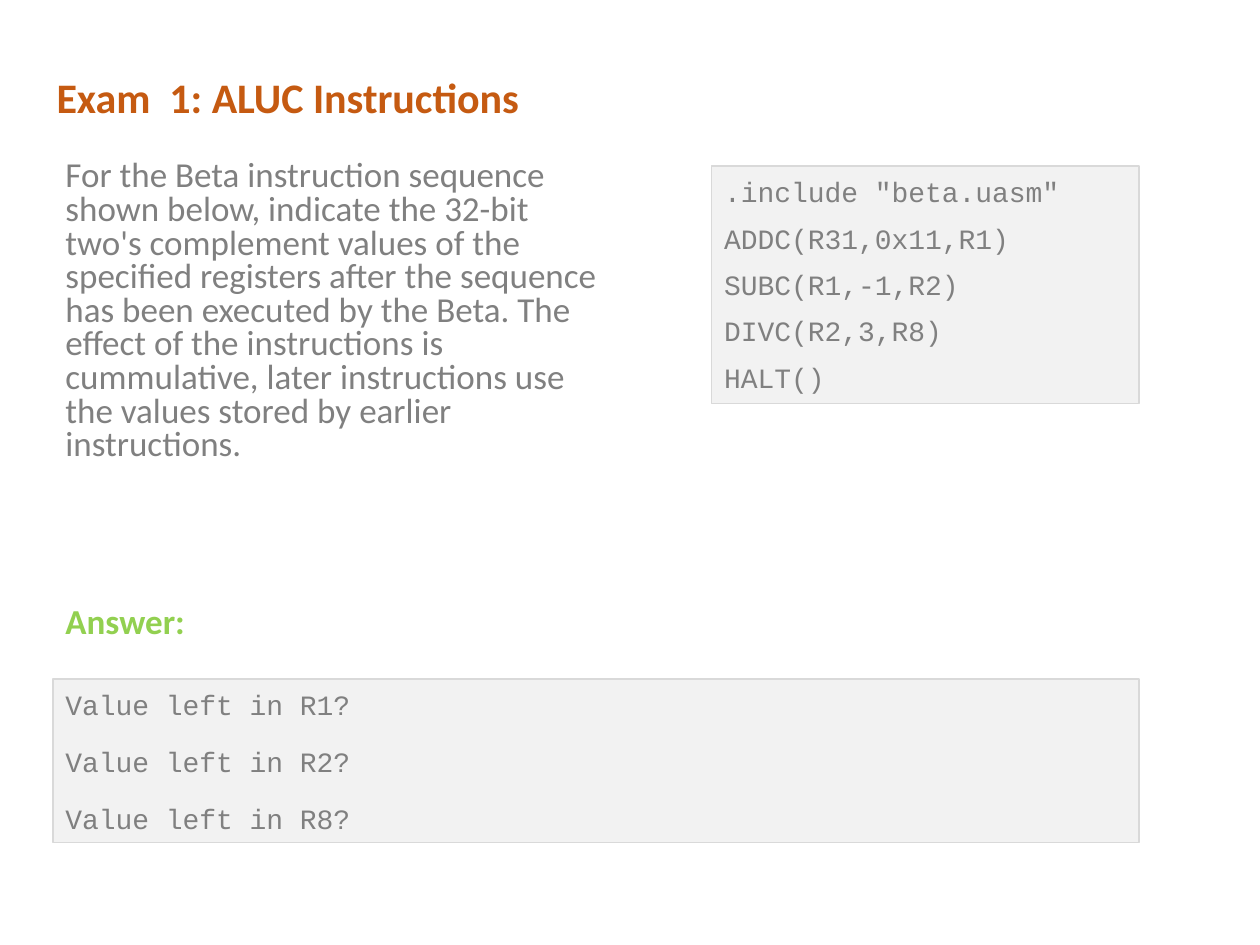
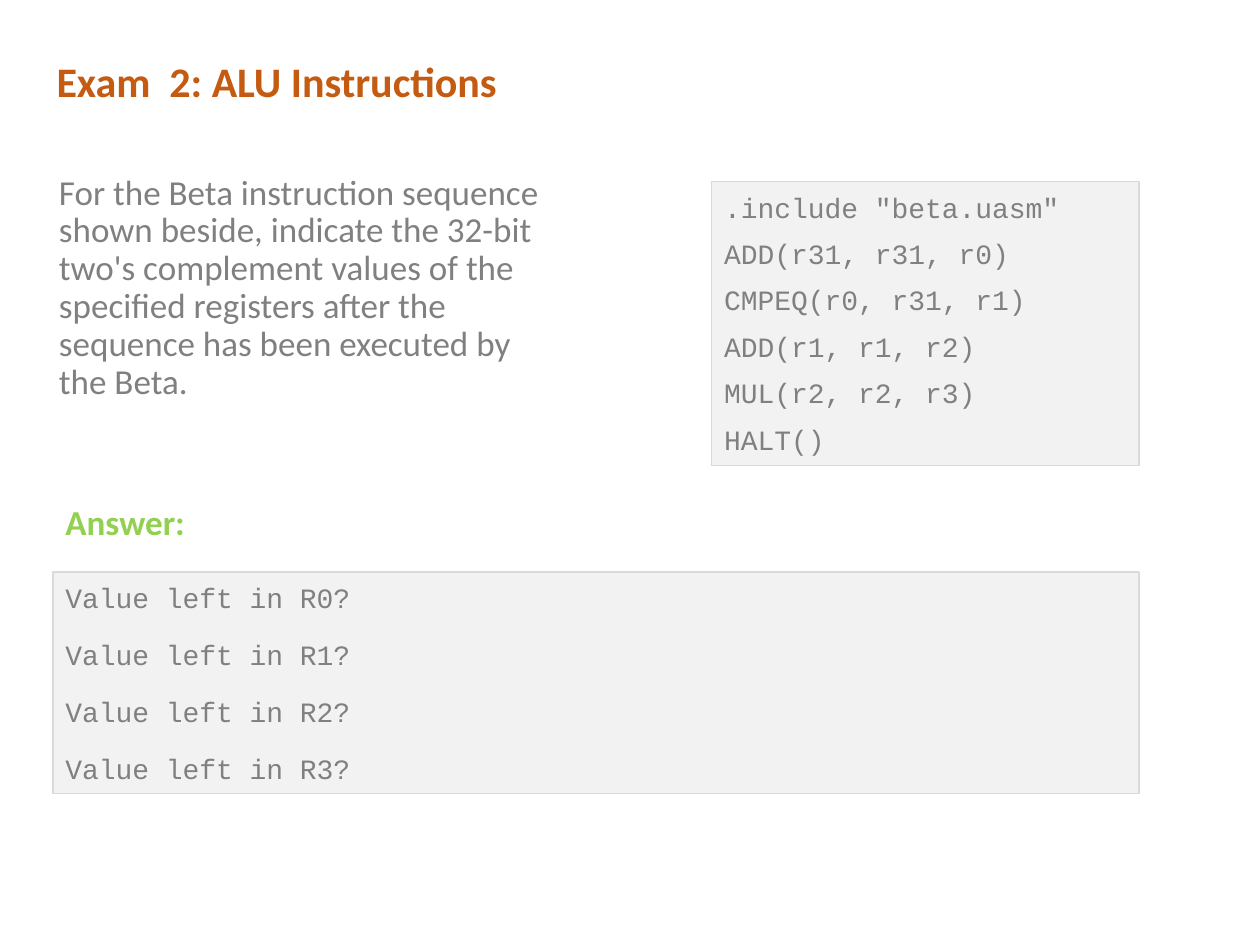
"""Build two exam slides about Beta assembly instructions."""
from dataclasses import dataclass

from pptx import Presentation
from pptx.dml.color import RGBColor
from pptx.enum.shapes import MSO_SHAPE
from pptx.enum.text import MSO_ANCHOR, MSO_AUTO_SIZE, PP_ALIGN
from pptx.util import Cm, Pt

RECTANGLE = MSO_SHAPE.RECTANGLE
TOP, MIDDLE = MSO_ANCHOR.TOP, MSO_ANCHOR.MIDDLE
GROW, FIXED = MSO_AUTO_SIZE.SHAPE_TO_FIT_TEXT, MSO_AUTO_SIZE.NONE
LEFT = PP_ALIGN.LEFT

EXAMS = [
    {
        "title": "Exam  1: ALUC Instructions",
        "question": "For the Beta instruction sequence shown below, indicate the 32-bit "
                    "two's complement values of the specified registers after the sequence "
                    "has been executed by the Beta. The effect of the instructions is "
                    "cummulative, later instructions use the values stored by earlier "
                    "instructions.",
        "code": ['.include "beta.uasm"', "ADDC(R31,0x11,R1)", "SUBC(R1,-1,R2)",
                 "DIVC(R2,3,R8)", "HALT()"],
        "registers": ["R1", "R2", "R8"],
        "question_box": (1.07, 3.12, 11.43, 6.91),
        "question_spacing": 0.8,
        "tops": {"title": 1.37, "code": 3.35, "label": 11.96, "answers": 13.69},
    },
    {
        "title": "Exam  2: ALU Instructions",
        "question": "For the Beta instruction sequence shown beside, indicate the 32-bit "
                    "two's complement values of the specified registers after the sequence "
                    "has been executed by the Beta.",
        "code": ['.include "beta.uasm"', "ADD(r31, r31, r0)", "CMPEQ(r0, r31, r1)",
                 "ADD(r1, r1, r2)", "MUL(r2, r2, r3)", "HALT()"],
        "registers": ["R0", "R1", "R2", "R3"],
        "question_box": (0.94, 3.4, 10.57, 5.64),
        "question_spacing": 0.9,
        "tops": {"title": 1.04, "code": 3.66, "label": 9.96, "answers": 11.53},
    },
]


@dataclass(frozen=True)
class Theme:
    """Hold the colours, fonts and type sizes of the deck."""
    title: RGBColor = RGBColor(0xC5, 0x5A, 0x11)
    text: RGBColor = RGBColor(0x80, 0x80, 0x80)
    answer: RGBColor = RGBColor(0x92, 0xD0, 0x50)
    panel: RGBColor = RGBColor(0xF2, 0xF2, 0xF2)
    border: RGBColor = RGBColor(0xD9, 0xD9, 0xD9)
    body_font: str = "Calibri"
    code_font: str = "Courier New"
    title_size: Pt = Pt(24)
    body_size: Pt = Pt(20)
    code_size: Pt = Pt(16)
    border_width: Pt = Pt(0.75)


THEME = Theme()
MARGIN = 1.07
RIGHT_EDGE = 22.96
CODE_LEFT = 14.35
CODE_ROW, CODE_PADDING = 0.94, 0.08
ANSWER_ROW, ANSWER_PADDING = 1.17, -0.21

FONTS = {
    "title": {"name": THEME.body_font, "size": THEME.title_size, "bold": True},
    "question": {"name": THEME.body_font, "size": THEME.body_size, "bold": False},
    "label": {"name": THEME.body_font, "size": THEME.body_size, "bold": True},
    "code": {"name": THEME.code_font, "size": THEME.code_size, "bold": False},
}
COLORS = {"title": THEME.title, "question": THEME.text,
          "label": THEME.answer, "code": THEME.text}


def set_attributes(target, values):
    """Set every named value on the target."""
    for name, value in values.items():
        setattr(target, name, value)


def write(shape, lines, style, paragraph_format, frame_format):
    """Fill a shape with one paragraph per line."""
    frame = shape.text_frame
    set_attributes(frame, {"word_wrap": True, "auto_size": FIXED,
                           "vertical_anchor": TOP, **frame_format})
    for index, line in enumerate(lines):
        paragraph = frame.add_paragraph() if index else frame.paragraphs[0]
        set_attributes(paragraph, {"alignment": LEFT, **paragraph_format})
        run = paragraph.add_run()
        run.text = line
        set_attributes(run.font, FONTS[style])
        run.font.color.rgb = COLORS[style]


def add_text(slide, box, text, style, paragraph_format, **frame_format):
    """Add a plain text box."""
    shape = slide.shapes.add_textbox(*map(Cm, box))
    write(shape, [text], style, paragraph_format, frame_format)


def add_panel(slide, left, top, row, padding, lines, **spacing):
    """Add a grey code panel as tall as its lines, ending at the right edge."""
    box = (left, top, RIGHT_EDGE - left, row * len(lines) + padding)
    shape = slide.shapes.add_shape(RECTANGLE, *map(Cm, box))
    shape.shadow.inherit = False
    shape.fill.solid()
    shape.fill.fore_color.rgb = THEME.panel
    shape.line.color.rgb = THEME.border
    shape.line.width = THEME.border_width
    write(shape, lines, "code",
          {"line_spacing": 1.07, "space_before": Pt(6), **spacing}, {"auto_size": GROW})


def add_exam(presentation, exam):
    """Add the slide of one exam question."""
    slide = presentation.slides.add_slide(presentation.slide_layouts[6])
    tops = exam["tops"]
    add_text(slide, (0.89, tops["title"], 12.78, 1.3), exam["title"], "title",
             {"line_spacing": 0.9}, vertical_anchor=MIDDLE)
    add_text(slide, exam["question_box"], exam["question"], "question",
             {"line_spacing": exam["question_spacing"], "space_before": Pt(10)})
    add_panel(slide, CODE_LEFT, tops["code"], CODE_ROW, CODE_PADDING, exam["code"])
    answers = [f"Value left in {register}?" for register in exam["registers"]]
    add_panel(slide, MARGIN, tops["answers"], ANSWER_ROW, ANSWER_PADDING, answers,
              space_after=Pt(6))
    add_text(slide, (MARGIN, tops["label"], 2.95, 1.12), "Answer:", "label", {},
             word_wrap=False, auto_size=GROW)


def main():
    """Build and save the deck."""
    presentation = Presentation()
    set_attributes(presentation, {"slide_width": Cm(25.4), "slide_height": Cm(19.05)})
    for exam in EXAMS:
        add_exam(presentation, exam)
    presentation.save("out.pptx")


if __name__ == "__main__":
    main()
